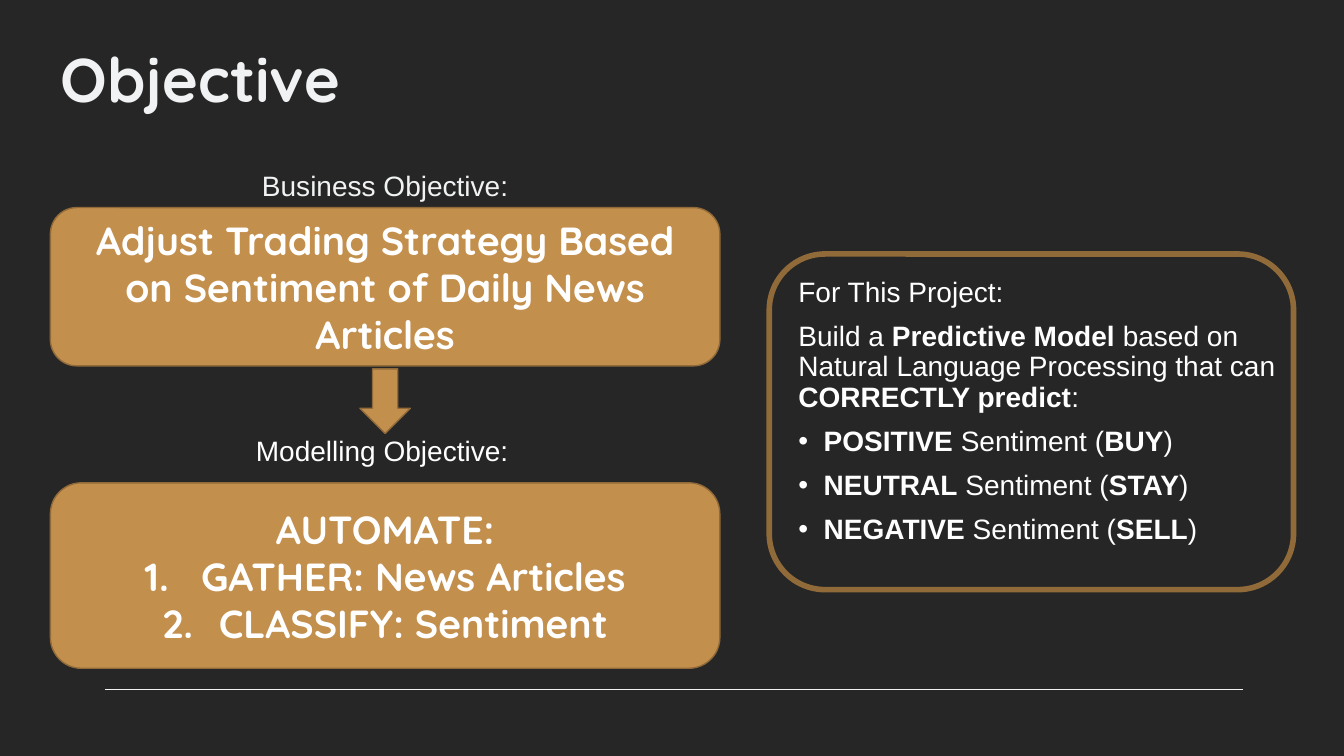
import pptx
import pptx.util
import pptx.dml.color
import pptx.enum.shapes
import pptx.enum.text
import pptx.oxml.ns
import lxml.etree

PX = 9144  # one px is a hundredth of an inch
RGB = pptx.dml.color.RGBColor
DARK = RGB(0x26, 0x26, 0x26)
PALE = RGB(0xF0, 0xF2, 0xF3)
WHITE = RGB(0xFF, 0xFF, 0xFF)
GOLD = RGB(0xC3, 0x8F, 0x4D)
BROWN = RGB(0x90, 0x6A, 0x39)
SHAPE = pptx.enum.shapes.MSO_SHAPE
ALIGN = pptx.enum.text.PP_ALIGN
ANCHOR = pptx.enum.text.MSO_ANCHOR
qn = pptx.oxml.ns.qn


def px(*lengths):
    return [length * PX for length in lengths]


def set_marker(para, marker, indent):
    """Give a paragraph a hanging bullet, or a number if marker is '1.'."""
    props = para._p.get_or_add_pPr()
    props.set("marL", str(indent * PX))
    props.set("indent", str(-indent * PX))
    lxml.etree.SubElement(props, qn("a:buFont")).set("typeface", "+mj-lt" if marker == "1." else "Arial")
    if marker == "1.":
        lxml.etree.SubElement(props, qn("a:buAutoNum")).set("type", "arabicPeriod")
    else:
        lxml.etree.SubElement(props, qn("a:buChar")).set("char", marker)


def write(shape, paragraphs, font="Arial", size=20, color=WHITE, bold=False, align=ALIGN.LEFT,
          anchor=ANCHOR.TOP, spacing=1.0, before=0, marker=None, indent=0, plain=0):
    """Fill a shape; '*' toggles bold, and paragraphs from `plain` on get the marker."""
    frame = shape.text_frame
    frame.word_wrap = True
    frame.auto_size = pptx.enum.text.MSO_AUTO_SIZE.NONE
    frame.vertical_anchor = anchor
    for index, text in enumerate(paragraphs):
        para = frame.add_paragraph() if index else frame.paragraphs[0]
        para.alignment = align
        para.line_spacing = spacing
        para.space_before = pptx.util.Pt(before)
        if marker and index >= plain:
            set_marker(para, marker, indent)
        for part, piece in enumerate(text.split("*")):
            if piece:
                span = para.add_run()
                span.text = piece
                span.font.name = font
                span.font.size = pptx.util.Pt(size)
                span.font.bold = bold or part % 2 == 1
                span.font.color.rgb = color


def add_block(page, kind, box, fill=GOLD, line_width=1):
    block = page.shapes.add_shape(kind, *px(*box))
    block.shadow.inherit = False
    if fill is None:
        block.fill.background()
    else:
        block.fill.solid()
        block.fill.fore_color.rgb = fill
    block.line.color.rgb = BROWN
    block.line.width = pptx.util.Pt(line_width)
    return block


def add_title(page, box, text):
    title = page.shapes.title
    title.left, title.top, title.width, title.height = px(*box)
    write(title, [text], font="Quicksand", size=44, color=PALE, bold=True, anchor=ANCHOR.BOTTOM)


def add_label(page, box, text, **text_format):
    label = page.shapes.add_textbox(*px(*box))
    write(label, [text], align=ALIGN.CENTER, before=10, **text_format)


def add_objectives(page, box):
    """Business objective above, arrow down, modelling objective below."""
    left, top, width, height = box
    middle = left + width // 2
    add_label(page, (middle - 144, top, 288, 50), "Business Objective:", color=PALE, spacing=1.2)
    add_label(page, (middle - 222, top + 273, 438, 59), "Modelling Objective:", spacing=0.9)
    card_format = dict(font="Quicksand", size=28, bold=True, align=ALIGN.CENTER, anchor=ANCHOR.MIDDLE)

    business = add_block(page, SHAPE.ROUNDED_RECTANGLE, (left, top + 50, width, 157))
    write(business, ["Adjust Trading Strategy Based on Sentiment of Daily News Articles"], **card_format)

    modelling = add_block(page, SHAPE.ROUNDED_RECTANGLE, (left, top + height - 184, width, 184))
    write(modelling, ["AUTOMATE:", "GATHER: News Articles", "CLASSIFY: Sentiment"],
          marker="1.", indent=56, plain=1, **card_format)

    add_block(page, SHAPE.DOWN_ARROW, (middle - 25, top + 210, 50, 64))


def add_project(page, box):
    """Outlined panel with the aim of the project."""
    left, top, width, height = box
    add_block(page, SHAPE.ROUNDED_RECTANGLE, box, fill=None, line_width=4)
    outcomes = [("POSITIVE", "BUY"), ("NEUTRAL", "STAY"), ("NEGATIVE", "SELL")]
    aim = page.shapes.add_textbox(*px(left + 19, top + 19, width - 18, height))
    write(aim, ["For This Project:",
                "Build a *Predictive Model *based on Natural Language Processing that can *CORRECTLY predict*:"]
          + [f"*{mood}* Sentiment (*{action}*)" for mood, action in outcomes],
          spacing=0.9, before=10, marker="•", indent=25, plain=2)


def add_rule(page, left, right, y):
    rule = page.shapes.add_connector(pptx.enum.shapes.MSO_CONNECTOR.STRAIGHT, *px(left, y, right, y))
    rule.line.color.rgb = PALE
    rule.line.width = pptx.util.Pt(0.85)
    lxml.etree.SubElement(rule._element.spPr, qn("a:effectLst"))


def main():
    deck = pptx.Presentation()
    deck.slide_width, deck.slide_height = px(1333, 750)
    page = deck.slides.add_slide(deck.slide_layouts[5])
    page.background.fill.solid()
    page.background.fill.fore_color.rgb = DARK
    add_rule(page, 104, 1233, 684)
    add_title(page, (50, 0, 1230, 119), "Objective")
    add_objectives(page, (50, 156, 664, 507))
    add_project(page, (763, 252, 520, 333))
    deck.save("out.pptx")


if __name__ == "__main__":
    main()
